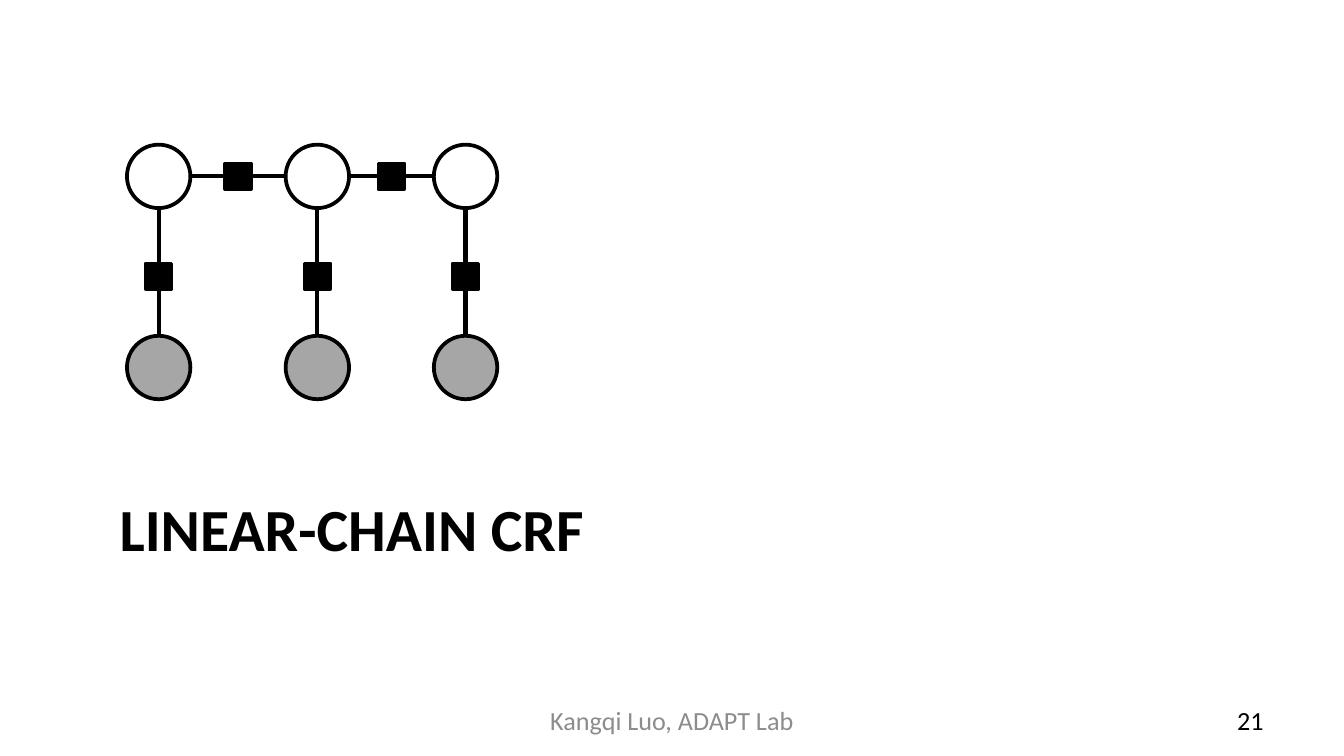
from itertools import pairwise

from lxml.etree import SubElement
from pptx import Presentation
from pptx.dml.color import RGBColor
from pptx.enum.shapes import MSO_CONNECTOR, MSO_SHAPE
from pptx.enum.text import MSO_ANCHOR, PP_ALIGN
from pptx.oxml.ns import qn
from pptx.util import Pt

BLACK, WHITE, GRAY, MUTED = "000000", "FFFFFF", "A6A6A6", "8C8C8C"


def color(value):
    return RGBColor.from_string(value)


class Deck:
    font = "Calibri"
    outline = 2
    edge = 2.25

    def __init__(self, width, height):
        self.prs = Presentation()
        self.prs.slide_width, self.prs.slide_height = Pt(width), Pt(height)
        self.s = self.prs.slides.add_slide(self.prs.slide_layouts[6])

    def text(self, text, x, y, w, h, size, fill=BLACK, bold=False,
             align=PP_ALIGN.LEFT, anchor=MSO_ANCHOR.MIDDLE):
        tf = self.s.shapes.add_textbox(Pt(x), Pt(y), Pt(w), Pt(h)).text_frame
        tf.word_wrap, tf.vertical_anchor = True, anchor
        p = tf.paragraphs[0]
        p.alignment = align
        r = p.add_run()
        r.text = text
        formats = {"name": self.font, "size": Pt(size), "bold": bold}
        for name, value in formats.items():
            setattr(r.font, name, value)
        r.font.color.rgb = color(fill)

    def node(self, kind, cx, cy, size, fill):
        """Add a shape centred on a point."""
        sp = self.s.shapes.add_shape(kind, Pt(cx - size / 2), Pt(cy - size / 2),
                                     Pt(size), Pt(size))
        sp.shadow.inherit = False
        sp.fill.solid()
        sp.fill.fore_color.rgb = color(fill)
        sp.line.color.rgb = color(BLACK)
        sp.line.width = Pt(self.outline)

    def line(self, x1, y1, x2, y2):
        sp = self.s.shapes.add_connector(MSO_CONNECTOR.STRAIGHT,
                                         Pt(x1), Pt(y1), Pt(x2), Pt(y2))
        sp.line.color.rgb = color(BLACK)
        sp.line.width = Pt(self.edge)
        SubElement(sp._element.spPr, qn("a:effectLst"))


def main():
    deck = Deck(720, 405)

    # Title and footer
    deck.text("LINEAR-CHAIN CRF", 57, 260, 612, 81, 32, bold=True,
              anchor=MSO_ANCHOR.TOP)
    deck.text("Kangqi Luo, ADAPT Lab", 246, 375, 228, 21.6, 14, MUTED,
              align=PP_ALIGN.CENTER)
    deck.text("21", 516, 375, 168, 21.6, 14, align=PP_ALIGN.RIGHT)

    # Chain geometry
    columns = [85, 170, 249.4]
    label_y, factor_y, observed_y = 94.5, 148, 196.9
    circle, square = 34, 13.8
    radius = circle / 2

    # Label and observation nodes
    for x in columns:
        deck.node(MSO_SHAPE.OVAL, x, label_y, circle, WHITE)
        deck.node(MSO_SHAPE.OVAL, x, observed_y, circle, GRAY)

    # Transition edges and factors
    for left, right in pairwise(columns):
        deck.line(left + radius, label_y, right - radius, label_y)
        deck.node(MSO_SHAPE.RECTANGLE, (left + right) / 2, label_y, square, BLACK)

    # Observation edges and factors
    for x in columns:
        deck.line(x, label_y + radius, x, observed_y - radius)
        deck.node(MSO_SHAPE.RECTANGLE, x, factor_y, square, BLACK)

    deck.prs.save("out.pptx")


if __name__ == "__main__":
    main()
